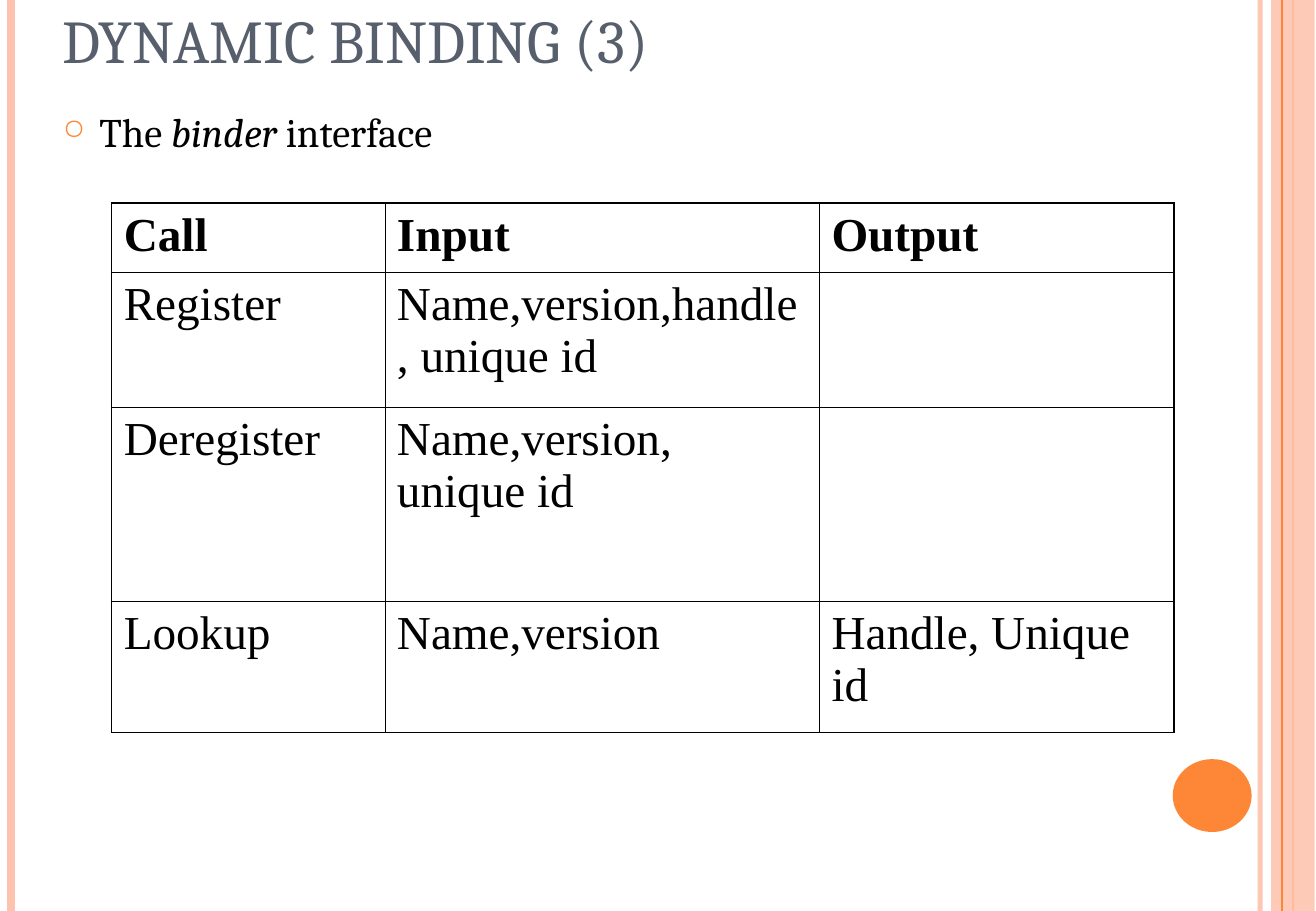
from dataclasses import dataclass

from lxml.etree import SubElement
from pptx import Presentation
from pptx.dml.color import RGBColor
from pptx.enum.shapes import MSO_CONNECTOR, MSO_SHAPE
from pptx.enum.text import MSO_ANCHOR
from pptx.oxml.ns import qn
from pptx.util import Pt

EMU_PER_PX = 9144
PAGE_WIDTH, PAGE_HEIGHT = 1084, 750


@dataclass(frozen=True)
class Theme:
    peach: str = "FEC3AE"
    orange: str = "FE8637"
    slate: str = "575F6D"
    ink: str = "000000"
    heading_font: str = "Cambria"
    table_font: str = "Times New Roman"
    title_size: int = 36
    body_size: int = 24
    table_size: int = 28
    outer_border: float = 1.08
    inner_border: float = 0.45


THEME = Theme()

BINDER_CALLS = [
    ["Call", "Input", "Output"],
    ["Register", "Name,version,handle , unique id", ""],
    ["Deregister", "Name,version, unique id", ""],
    ["Lookup", "Name,version", "Handle, Unique id"],
]
COLUMN_WIDTHS = [225, 358, 292]
ROW_HEIGHTS = [57, 111, 160, 108]


def px(*lengths):
    return [length * EMU_PER_PX for length in lengths]


def set_alpha(properties, percent):
    color = next(properties.iter(qn("a:srgbClr")))
    SubElement(color, qn("a:alpha"), val=str(percent * 1000))


def add_stripe(page, x, color, width, opacity=100):
    stripe = page.shapes.add_connector(
        MSO_CONNECTOR.STRAIGHT, *px(x, 0, x, PAGE_HEIGHT))
    stripe.line.color.rgb = RGBColor.from_string(color)
    stripe.line.width = Pt(width)
    properties = stripe._element.spPr
    if opacity < 100:
        set_alpha(properties, opacity)
    SubElement(properties, qn("a:effectLst"))


def add_solid(page, kind, frame, color, opacity=100):
    solid = page.shapes.add_shape(kind, *px(*frame))
    solid.shadow.inherit = False
    solid.fill.solid()
    solid.fill.fore_color.rgb = RGBColor.from_string(color)
    solid.line.fill.background()
    if opacity < 100:
        set_alpha(solid._element.spPr, opacity)


def add_span(para, text, font, size, color, bold=False, italic=False):
    span = para.add_run()
    span.text = text
    span.font.name = font
    span.font.size = Pt(size)
    span.font.bold = bold
    span.font.italic = italic
    span.font.color.rgb = RGBColor.from_string(color)


def add_text_box(page, frame, anchor):
    box = page.shapes.add_textbox(*px(*frame))
    box.text_frame.word_wrap = True
    box.text_frame.vertical_anchor = anchor
    return box.text_frame.paragraphs[0]


def add_title(page, text):
    para = add_text_box(page, (42, 0, 1000, 67), MSO_ANCHOR.BOTTOM)
    add_span(para, text, THEME.heading_font, THEME.title_size, THEME.slate)


def add_bullet(page, pieces):
    para = add_text_box(page, (42, 83, 1000, 667), MSO_ANCHOR.TOP)
    properties = para._p.get_or_add_pPr()
    [indent] = px(30)
    properties.set("marL", str(indent))
    properties.set("indent", str(-indent))
    bullet_color = SubElement(properties, qn("a:buClr"))
    SubElement(bullet_color, qn("a:srgbClr"), val=THEME.orange)
    SubElement(properties, qn("a:buSzPct"), val="70000")
    SubElement(properties, qn("a:buChar"), char="○")
    for text, italic in pieces:
        add_span(para, text, THEME.heading_font, THEME.body_size, THEME.ink,
                 italic=italic)


def set_borders(cell, outer_sides):
    properties = cell._tc.get_or_add_tcPr()
    for side, is_outer in outer_sides.items():
        width = THEME.outer_border if is_outer else THEME.inner_border
        line = SubElement(properties, qn(f"a:ln{side}"), w=str(Pt(width)))
        fill = SubElement(line, qn("a:solidFill"))
        SubElement(fill, qn("a:srgbClr"), val=THEME.ink)


def add_table(page, left, top, rows):
    frame = (left, top, sum(COLUMN_WIDTHS), sum(ROW_HEIGHTS))
    table = page.shapes.add_table(
        len(rows), len(COLUMN_WIDTHS), *px(*frame)).table
    table.horz_banding = False
    for column, width in zip(table.columns, px(*COLUMN_WIDTHS)):
        column.width = width
    for row, height in zip(table.rows, px(*ROW_HEIGHTS)):
        row.height = height
    for r, texts in enumerate(rows):
        for c, text in enumerate(texts):
            cell = table.cell(r, c)
            set_borders(cell, {
                "L": c == 0,
                "R": c == len(texts) - 1,
                "T": r == 0,
                "B": r == len(rows) - 1,
            })
            cell.fill.background()
            if text:
                add_span(cell.text_frame.paragraphs[0], text,
                         THEME.table_font, THEME.table_size, THEME.ink,
                         bold=r == 0)


def add_decoration(page):
    add_stripe(page, 1038, THEME.peach, 3, opacity=93)
    add_stripe(page, 9, THEME.peach, 4.5)
    add_stripe(page, 1065, THEME.orange, 1.5)
    add_solid(page, MSO_SHAPE.RECTANGLE, (1047, 0, 36, PAGE_HEIGHT),
              THEME.peach, opacity=87)
    add_stripe(page, 1056, THEME.orange, 0.75)
    add_solid(page, MSO_SHAPE.OVAL, (966, 625, 65, 60), THEME.orange)


def main():
    deck = Presentation()
    deck.slide_width, deck.slide_height = px(PAGE_WIDTH, PAGE_HEIGHT)
    page = deck.slides.add_slide(deck.slide_layouts[6])
    add_decoration(page)
    add_title(page, "DYNAMIC BINDING (3)")
    add_bullet(page, [("The ", False), ("binder", True),
                      (" interface", False)])
    add_table(page, 92, 167, BINDER_CALLS)
    deck.save("out.pptx")


if __name__ == "__main__":
    main()
